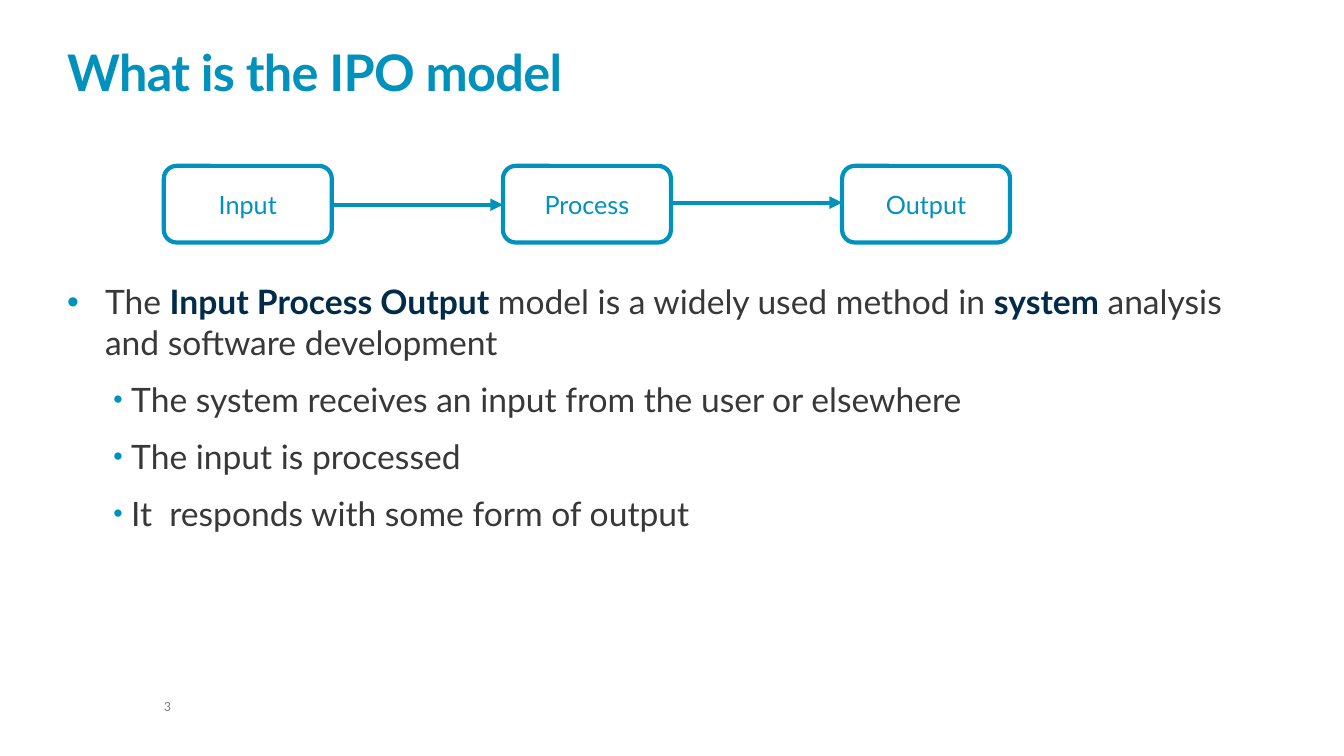
from dataclasses import dataclass

from lxml.etree import SubElement
from pptx import Presentation
from pptx.dml.color import RGBColor
from pptx.enum.shapes import MSO_CONNECTOR, MSO_SHAPE
from pptx.enum.text import MSO_ANCHOR, MSO_AUTO_SIZE, PP_ALIGN
from pptx.oxml.ns import qn
from pptx.util import Pt

# Content
TITLE = "What is the IPO model"
STAGES = ["Input", "Process", "Output"]
BULLETS = [  # (level, [(text, emphasised)])
    (0, [("The ", False), ("Input Process Output", True),
         (" model is a widely used method in ", False), ("system", True),
         (" analysis and software development", False)]),
    (1, [("The system receives an input from the user or elsewhere", False)]),
    (1, [("The input is processed", False)]),
    (1, [("It  responds with some form of output", False)]),
]
PAGE_NUMBER = "3"

# Geometry in px: left, top, width, height
PX = 9525
PAGE_SIZE = (1280, 720)
TITLE_AREA = (64, 27, 1174, 70)
BODY_AREA = (64, 268, 1123, 283)
NUMBER_AREA = (156, 666, 114, 14)
STAGE_LEFT, STAGE_TOP, STAGE_WIDTH, STAGE_HEIGHT = 156, 158, 160, 73
STAGE_PITCH = 323
ARROW_TOPS = [195, 193]
BULLET_LEVELS = [  # text margin, hanging indent, bullet size in percent
    (36, 36, 100),
    (61, 17, 80),
]


@dataclass(frozen=True)
class Theme:
    accent: str = "0091BD"
    strong: str = "002B49"
    text: str = "383838"
    muted: str = "7F7F7F"
    paper: str = "FFFFFF"
    font: str = "Lato"
    number_font: str = "Calibri"
    title_size: int = 36
    body_size: int = 24
    stage_size: int = 18
    number_size: int = 10
    line_width: int = 3


THEME = Theme()


def colour(value):
    return RGBColor.from_string(value)


def emu(lengths):
    return [length * PX for length in lengths]


def apply(target, **values):
    for name, value in values.items():
        setattr(target, name, value)


def place(shape, area):
    apply(shape, **dict(zip(("left", "top", "width", "height"), emu(area))))


def set_frame(frame, anchor):
    apply(frame, word_wrap=True, auto_size=MSO_AUTO_SIZE.NONE, vertical_anchor=anchor,
          margin_left=0, margin_top=0, margin_right=0, margin_bottom=0)


def add_span(para, text, size, shade, bold=False, font=THEME.font):
    span = para.add_run()
    span.text = text
    apply(span.font, name=font, size=Pt(size), bold=bold)
    span.font.color.rgb = colour(shade)
    return span


def set_bullet(para, level):
    margin, hang, percent = BULLET_LEVELS[level]
    properties = para._p.get_or_add_pPr()
    properties.set("marL", str(margin * PX))
    properties.set("indent", str(-hang * PX))
    shade = SubElement(properties, qn("a:buClr"))
    SubElement(shade, qn("a:srgbClr"), val=THEME.accent)
    SubElement(properties, qn("a:buSzPct"), val=str(percent * 1000))
    SubElement(properties, qn("a:buFont"), typeface="Arial")
    SubElement(properties, qn("a:buChar"), char="•")


def add_title(page):
    title = page.shapes.title
    place(title, TITLE_AREA)
    set_frame(title.text_frame, MSO_ANCHOR.BOTTOM)
    para = title.text_frame.paragraphs[0]
    apply(para, alignment=PP_ALIGN.LEFT, line_spacing=0.85)
    span = add_span(para, TITLE, THEME.title_size, THEME.accent, bold=True)
    span.font._element.set("spc", "-50")


def add_body(page):
    box = page.shapes.add_textbox(*emu(BODY_AREA))
    frame = box.text_frame
    set_frame(frame, MSO_ANCHOR.TOP)
    for index, (level, spans) in enumerate(BULLETS):
        para = frame.add_paragraph() if index else frame.paragraphs[0]
        apply(para, level=level, space_before=Pt(12))
        set_bullet(para, level)
        for text, strong in spans:
            shade = THEME.strong if strong else THEME.text
            add_span(para, text, THEME.body_size, shade, bold=strong)


def add_stage(page, label, left):
    area = emu((left, STAGE_TOP, STAGE_WIDTH, STAGE_HEIGHT))
    box = page.shapes.add_shape(MSO_SHAPE.ROUNDED_RECTANGLE, *area)
    box.shadow.inherit = False
    box.fill.solid()
    box.fill.fore_color.rgb = colour(THEME.paper)
    box.line.color.rgb = colour(THEME.accent)
    box.line.width = Pt(THEME.line_width)
    box.text_frame.vertical_anchor = MSO_ANCHOR.MIDDLE
    para = box.text_frame.paragraphs[0]
    para.alignment = PP_ALIGN.CENTER
    add_span(para, label, THEME.stage_size, THEME.accent)


def add_arrow(page, start, end, top):
    arrow = page.shapes.add_connector(MSO_CONNECTOR.STRAIGHT, *emu((start, top, end, top)))
    arrow.line.color.rgb = colour(THEME.accent)
    arrow.line.width = Pt(THEME.line_width)
    SubElement(arrow.line._get_or_add_ln(), qn("a:tailEnd"), type="triangle")
    SubElement(arrow._element.spPr, qn("a:effectLst"))


def add_flow(page):
    lefts = [STAGE_LEFT + index * STAGE_PITCH for index in range(len(STAGES))]
    for label, left in zip(STAGES, lefts):
        add_stage(page, label, left)
    for left, following, top in zip(lefts, lefts[1:], ARROW_TOPS):
        add_arrow(page, left + STAGE_WIDTH, following, top)


def add_page_number(page):
    box = page.shapes.add_textbox(*emu(NUMBER_AREA))
    set_frame(box.text_frame, MSO_ANCHOR.TOP)
    para = box.text_frame.paragraphs[0]
    apply(para, line_spacing=0.9, space_after=Pt(6))
    add_span(para, PAGE_NUMBER, THEME.number_size, THEME.muted, font=THEME.number_font)


def main():
    deck = Presentation()
    deck.slide_width, deck.slide_height = emu(PAGE_SIZE)
    page = deck.slides.add_slide(deck.slide_layouts[5])
    add_page_number(page)
    add_title(page)
    add_body(page)
    add_flow(page)
    deck.save("out.pptx")


if __name__ == "__main__":
    main()
